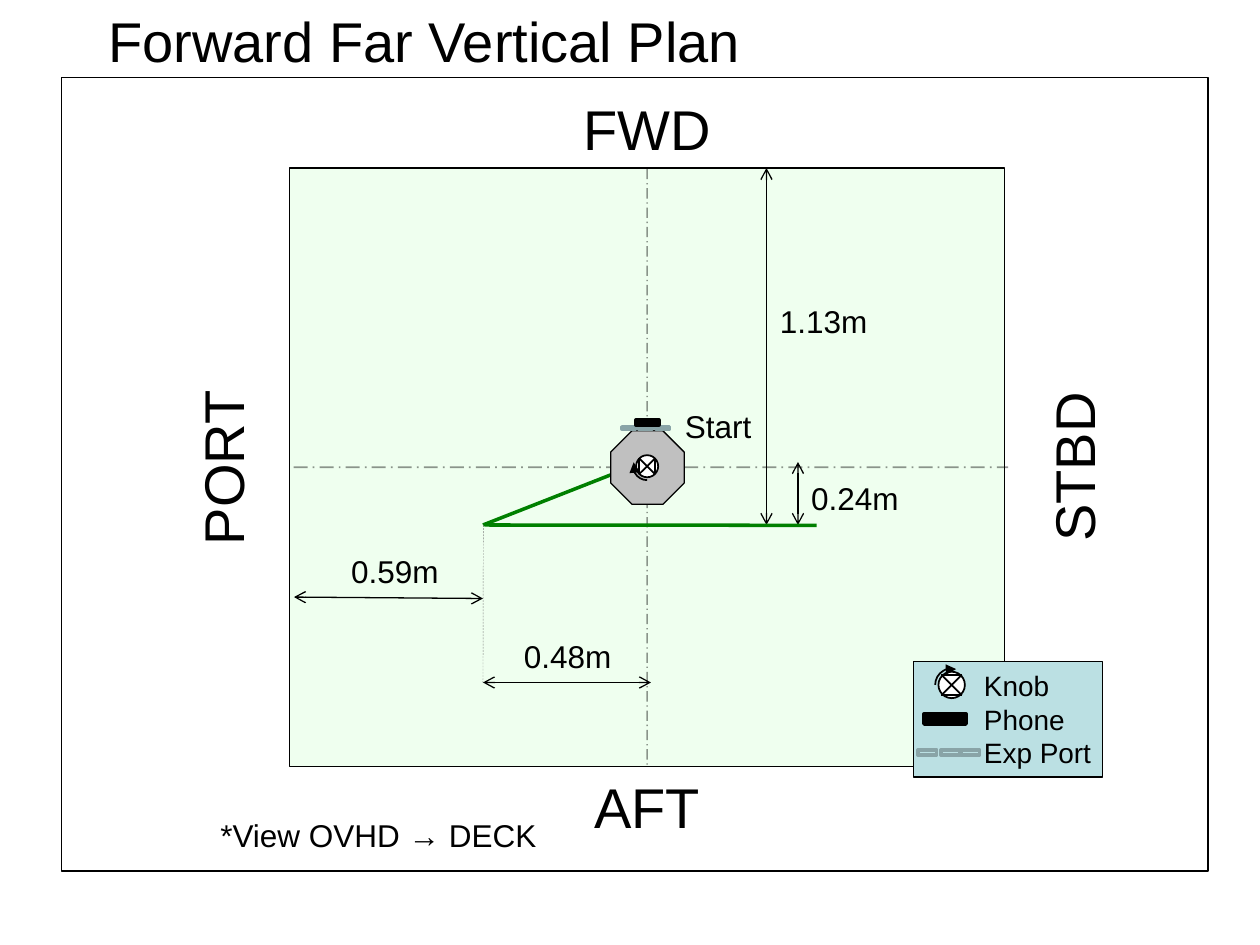
from dataclasses import dataclass

from lxml.etree import SubElement
from pptx import Presentation
from pptx.dml.color import RGBColor
from pptx.enum.dml import MSO_LINE
from pptx.enum.shapes import MSO_CONNECTOR, MSO_SHAPE
from pptx.enum.text import MSO_ANCHOR, MSO_AUTO_SIZE, PP_ALIGN
from pptx.oxml.ns import qn
from pptx.util import Pt


@dataclass(frozen=True)
class Theme:
    font: str = "Arial"
    ink: str = "000000"
    paper: str = "FFFFFF"
    floor: str = "CCFFCC"
    route: str = "008000"
    body: str = "C0C0C0"
    guide: str = "808080"
    panel: str = "BBE0E3"
    port: str = "89A4A7"
    heading: int = 32
    label: int = 18
    legend: int = 16
    thin: float = 0.75
    medium: float = 1
    thick: float = 2


THEME = Theme()


def write_text(frame, text, size=THEME.label, color=THEME.ink, anchor=MSO_ANCHOR.TOP,
               wrap=False, inset=7.2, indent=0):
    frame.word_wrap = wrap
    frame.auto_size = MSO_AUTO_SIZE.NONE
    frame.vertical_anchor = anchor
    frame.margin_left = frame.margin_right = Pt(inset)
    frame.margin_top = frame.margin_bottom = Pt(3.6)
    for index, line in enumerate(text.split("\n")):
        para = frame.paragraphs[0] if index == 0 else frame.add_paragraph()
        para.alignment = PP_ALIGN.LEFT
        para.line_spacing = 1.0
        para.space_before = para.space_after = Pt(0)
        if indent:
            properties = para._p.get_or_add_pPr()
            properties.set("marL", str(Pt(indent)))
            properties.set("indent", "0")
        span = para.add_run()
        span.text = line
        span.font.name = THEME.font
        span.font.size = Pt(size)
        span.font.color.rgb = RGBColor.from_string(color)


def set_opacity(fill_element, percent):
    color = fill_element.find(qn("a:srgbClr"))
    SubElement(color, qn("a:alpha")).set("val", str(percent * 1000))


def add_arrowheads(item, kind, *ends):
    outline = item.element.spPr.find(qn("a:ln"))
    for end in ends:
        SubElement(outline, qn(f"a:{end}")).set("type", kind)


class PlanSlide:
    def __init__(self, page, theme):
        self.page = page
        self.theme = theme

    def title(self, text, left, top, width, height):
        box = self.page.shapes.title
        box.left, box.top, box.width, box.height = map(Pt, (left, top, width, height))
        write_text(box.text_frame, text, size=self.theme.heading)

    def label(self, text, left, top, width, height=28.8, rotation=0, **style):
        box = self.page.shapes.add_textbox(*map(Pt, (left, top, width, height)))
        box.rotation = rotation
        write_text(box.text_frame, text, **style)

    def shape(self, kind, left, top, width, height, fill=None, line=THEME.ink,
              weight=THEME.thin, opacity=None):
        item = self.page.shapes.add_shape(kind, *map(Pt, (left, top, width, height)))
        item.shadow.inherit = False
        if fill:
            item.fill.solid()
            item.fill.fore_color.rgb = RGBColor.from_string(fill)
        else:
            item.fill.background()
        if opacity:
            set_opacity(item.element.spPr.find(qn("a:solidFill")), opacity)
        item.line.color.rgb = RGBColor.from_string(line)
        item.line.width = Pt(weight)
        return item

    def line(self, x1, y1, x2, y2, color=THEME.ink, weight=THEME.thin, dash=None, opacity=None):
        item = self.page.shapes.add_connector(
            MSO_CONNECTOR.STRAIGHT, *map(Pt, (x1, y1, x2, y2)))
        item.line.color.rgb = RGBColor.from_string(color)
        item.line.width = Pt(weight)
        if dash:
            item.line.dash_style = dash
        if opacity:
            set_opacity(item.element.spPr.find(qn("a:ln")).find(qn("a:solidFill")), opacity)
        SubElement(item.element.spPr, qn("a:effectLst"))
        return item

    def dimension(self, *ends):
        add_arrowheads(self.line(*ends), "arrow", "headEnd", "tailEnd")

    def bar(self, x, y, width, height, fill, line):
        self.shape(MSO_SHAPE.RECTANGLE, x - width / 2, y - height / 2, width, height,
                   fill, line, self.theme.thick)

    def port(self, y, centers, width, height):
        for x in centers:
            self.bar(x, y, width, height, self.theme.panel, self.theme.port)

    def phone(self, x, y, width, height):
        self.bar(x, y, width, height, self.theme.ink, self.theme.ink)

    def knob(self, x, y, diameter, reach, sweep_radius, start, upright):
        radius = diameter / 2
        weight = self.theme.medium
        self.shape(MSO_SHAPE.OVAL, x - radius, y - radius, diameter, diameter,
                   self.theme.paper, weight=weight)
        left, right, top, bottom = x - reach, x + reach, y - reach, y + reach
        self.line(left, top, right, bottom, weight=weight)
        self.line(left, bottom, right, top, weight=weight)
        if upright:
            sides = [(left, top, left, bottom), (right, top, right, bottom)]
        else:
            sides = [(left, top, right, top), (left, bottom, right, bottom)]
        for side in sides:
            self.line(*side, weight=weight)
        arc = self.shape(MSO_SHAPE.ARC, x - sweep_radius, y - sweep_radius,
                         2 * sweep_radius, 2 * sweep_radius, weight=weight)
        arc.adjustments[0] = start * 0.6
        arc.adjustments[1] = (start + 106) * 0.6
        add_arrowheads(arc, "triangle", "tailEnd")


def main():
    deck = Presentation()
    deck.slide_width, deck.slide_height = Pt(720), Pt(540)
    page = deck.slides.add_slide(deck.slide_layouts[5])
    plan = PlanSlide(page, THEME)

    plan.title("Forward Far Vertical Plan", 54.7, 0, 377.3, 46)
    plan.shape(MSO_SHAPE.RECTANGLE, 35.3, 44.4, 655, 453.4, THEME.paper)
    plan.shape(MSO_SHAPE.RECTANGLE, 165.5, 96, 408.4, 342, THEME.floor, opacity=30)

    for text, left, top, width, rotation in [
        ("FWD", 326.2, 50.4, 87.1, 0),
        ("AFT", 332.4, 437.8, 74.9, 0),
        ("PORT", 75.6, 244.1, 103, 270),
        ("STBD", 563.8, 244.1, 99.4, 270),
    ]:
        plan.label(text, left, top, width, 46, rotation, size=THEME.heading)
    plan.label("*View OVHD → DECK", 118.8, 463, 211, wrap=True)

    plan.line(167.8, 267, 576, 267, weight=THEME.medium, dash=MSO_LINE.LONG_DASH_DOT, opacity=41)
    plan.line(369.8, 96.5, 369.8, 438.5, dash=MSO_LINE.LONG_DASH_DOT, opacity=41)
    plan.line(374.4, 261.4, 276, 300, THEME.route, THEME.thick)

    for ends in [
        (276, 390, 372, 390),
        (438, 300, 438, 96),
        (456, 300, 456, 264),
        (168, 341.2, 276, 342),
    ]:
        plan.dimension(*ends)
    for text, left, top in [
        ("0.48m", 292.3, 360.7),
        ("1.13m", 438.5, 169.2),
        ("0.24m", 456.4, 270),
        ("0.59m", 193.5, 311.8),
        ("Start", 384.3, 229),
    ]:
        plan.label(text, left, top, 64.2)

    body = plan.shape(MSO_SHAPE.OCTAGON, 349, 246.2, 42, 42, THEME.body)
    body.adjustments[0] = 0.29
    plan.knob(369.8, 266.4, 12.6, 4.5, 8, 90, True)
    plan.port(244.5, (359.3, 378.7, 368.7), 7.9, 1.4)
    plan.phone(370, 241.5, 13, 2.9)
    plan.line(276.2, 300, 276, 390, THEME.guide, 0.25, MSO_LINE.DASH)

    panel = plan.shape(MSO_SHAPE.RECTANGLE, 522, 378, 108, 66, THEME.panel)
    write_text(panel.text_frame, "Knob\nPhone\nExp Port", size=THEME.legend,
               anchor=MSO_ANCHOR.MIDDLE, inset=4.3, indent=36)
    plan.knob(543.8, 391.4, 15.1, 5.8, 9.4, 180, False)
    plan.port(430, (554.4, 529.9, 543.2), 10.8, 3)
    plan.phone(540, 410.8, 24, 5.8)
    plan.line(466.6, 300.2, 277, 300, THEME.route, THEME.thick)

    deck.save("out.pptx")


if __name__ == "__main__":
    main()
